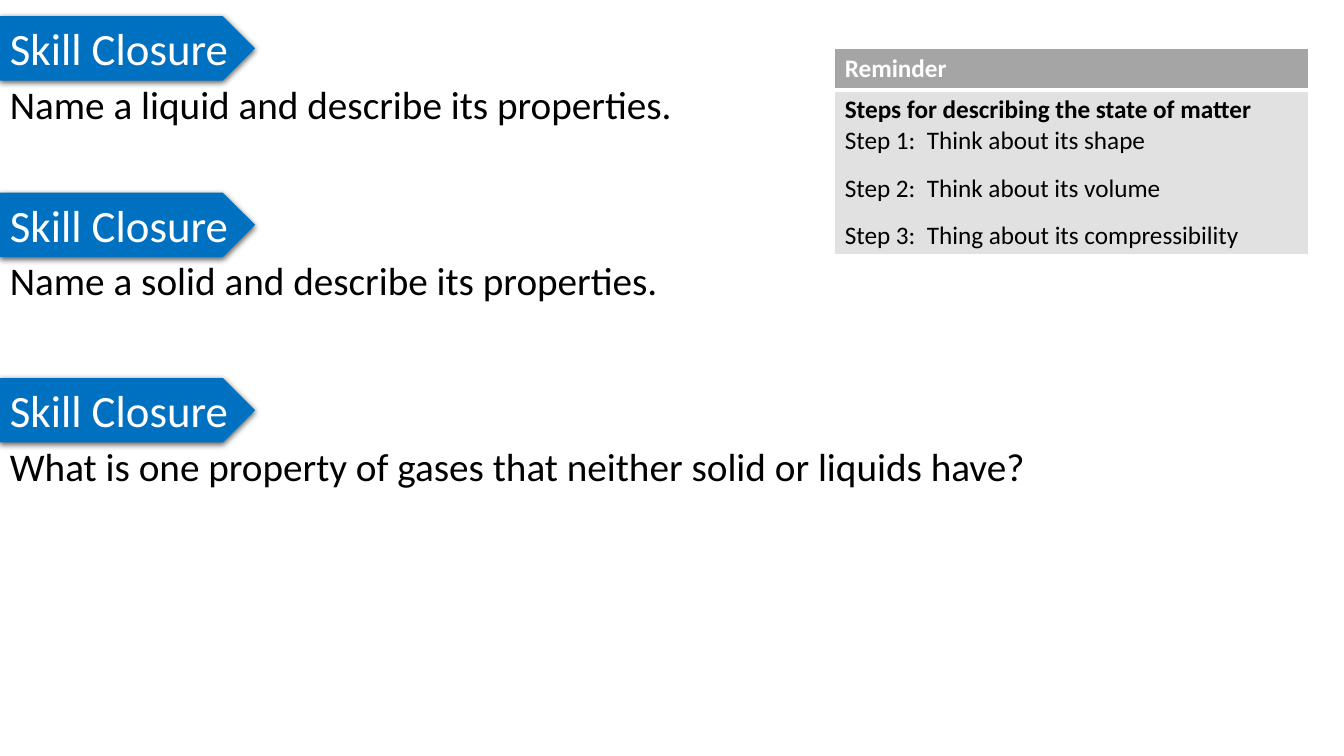
import pptx
import pptx.dml.color
import pptx.enum.shapes
import pptx.enum.text
import pptx.oxml.ns
import pptx.util
from lxml import etree

SLIDE_WIDTH = pptx.util.Inches(13.33)
SLIDE_HEIGHT = pptx.util.Inches(7.5)
FONT = "Calibri"
BANNER_HEIGHT = 8.53

# Banner top, prompt width, prompt height (percent of the slide), prompt
PROMPTS = [
    (2.13, 73.2, 8.93, "Name a liquid and describe its properties."),
    (25.47, 97.07, 13.33, "Name a solid and describe its properties."),
    (50, 97.07, 13.33,
     "What is one property of gases that neither solid or liquids have?"),
]
STEPS = [
    "Step 1:  Think about its shape",
    "Step 2:  Think about its volume",
    "Step 3:  Thing about its compressibility",
]


def across(percent):
    return round(SLIDE_WIDTH * percent / 100)


def down(percent):
    return round(SLIDE_HEIGHT * percent / 100)


def box(left, top, width, height):
    return across(left), down(top), across(width), down(height)


def color(value):
    return pptx.dml.color.RGBColor.from_string(value)


def add_element(parent, tag, **attributes):
    element = etree.SubElement(parent, pptx.oxml.ns.qn(tag))
    for name, value in attributes.items():
        element.set(name, str(value))
    return element


def write(paragraph, text, size, text_color, bold=False):
    paragraph.text = text
    paragraph.alignment = pptx.enum.text.PP_ALIGN.LEFT
    font = paragraph.font
    font.name = FONT
    font.size = pptx.util.Pt(size)
    font.bold = bold
    font.color.rgb = color(text_color)


def add_shadow(shape):
    shape.shadow.inherit = False
    effects = shape._element.spPr.find(pptx.oxml.ns.qn("a:effectLst"))
    shadow = add_element(effects, "a:outerShdw", blurRad=pptx.util.Pt(4.5),
                         dist=pptx.util.Pt(1.5), dir=90 * 60000,
                         algn="ctr", rotWithShape=0)
    shadow_color = add_element(shadow, "a:srgbClr", val="000000")
    add_element(shadow_color, "a:alpha", val=63000)


def add_banner(slide, top):
    banner = slide.shapes.add_shape(
        pptx.enum.shapes.MSO_SHAPE.PENTAGON, *box(0, top, 18.98, BANNER_HEIGHT))
    banner.fill.solid()
    banner.fill.fore_color.rgb = color("0070C0")
    banner.line.fill.background()
    add_shadow(banner)
    frame = banner.text_frame
    frame.word_wrap = False
    frame.auto_size = pptx.enum.text.MSO_AUTO_SIZE.SHAPE_TO_FIT_TEXT
    frame.vertical_anchor = pptx.enum.text.MSO_ANCHOR.TOP
    write(frame.paragraphs[0], "Skill Closure", 32, "FFFFFF")


def add_prompt(slide, top, width, height, text):
    frame = slide.shapes.add_textbox(*box(0, top, width, height)).text_frame
    frame.word_wrap = True
    paragraph = frame.paragraphs[0]
    write(paragraph, text, 28, "000000")
    paragraph.line_spacing = 0.9


def style_cell(cell, fill, top_width, bottom_width):
    cell.fill.solid()
    cell.fill.fore_color.rgb = color(fill)
    properties = cell._tc.get_or_add_tcPr()
    borders = [("a:lnL", 1), ("a:lnR", 1),
               ("a:lnT", top_width), ("a:lnB", bottom_width)]
    # Borders come before the fill in the cell properties
    for position, (tag, width) in enumerate(borders):
        line = add_element(properties, tag, w=pptx.util.Pt(width))
        add_element(add_element(line, "a:solidFill"), "a:srgbClr", val="FFFFFF")
        properties.insert(position, line)


def add_reminder(slide):
    row_heights = (5.47, 21.73)
    table = slide.shapes.add_table(
        2, 1, *box(62.11, 6.4, 35.26, sum(row_heights))).table
    for row, height in zip(table.rows, row_heights):
        row.height = down(height)
    header, body = table.cell(0, 0), table.cell(1, 0)
    style_cell(header, "A5A5A5", 1, 3)
    style_cell(body, "E1E1E1", 3, 1)
    write(header.text_frame.paragraphs[0], "Reminder", 18, "FFFFFF", True)
    frame = body.text_frame
    write(frame.paragraphs[0], "Steps for describing the state of matter",
          18, "000000", True)
    for step in STEPS:
        paragraph = frame.add_paragraph()
        write(paragraph, step, 18, "000000")
        paragraph.space_after = pptx.util.Pt(12)


def main():
    presentation = pptx.Presentation()
    presentation.slide_width = SLIDE_WIDTH
    presentation.slide_height = SLIDE_HEIGHT
    slide = presentation.slides.add_slide(presentation.slide_layouts[6])

    # Banners with their prompts
    for top, width, height, text in PROMPTS:
        add_banner(slide, top)
        add_prompt(slide, top + BANNER_HEIGHT, width, height, text)

    # Reminder table
    add_reminder(slide)
    presentation.save("out.pptx")


if __name__ == "__main__":
    main()
